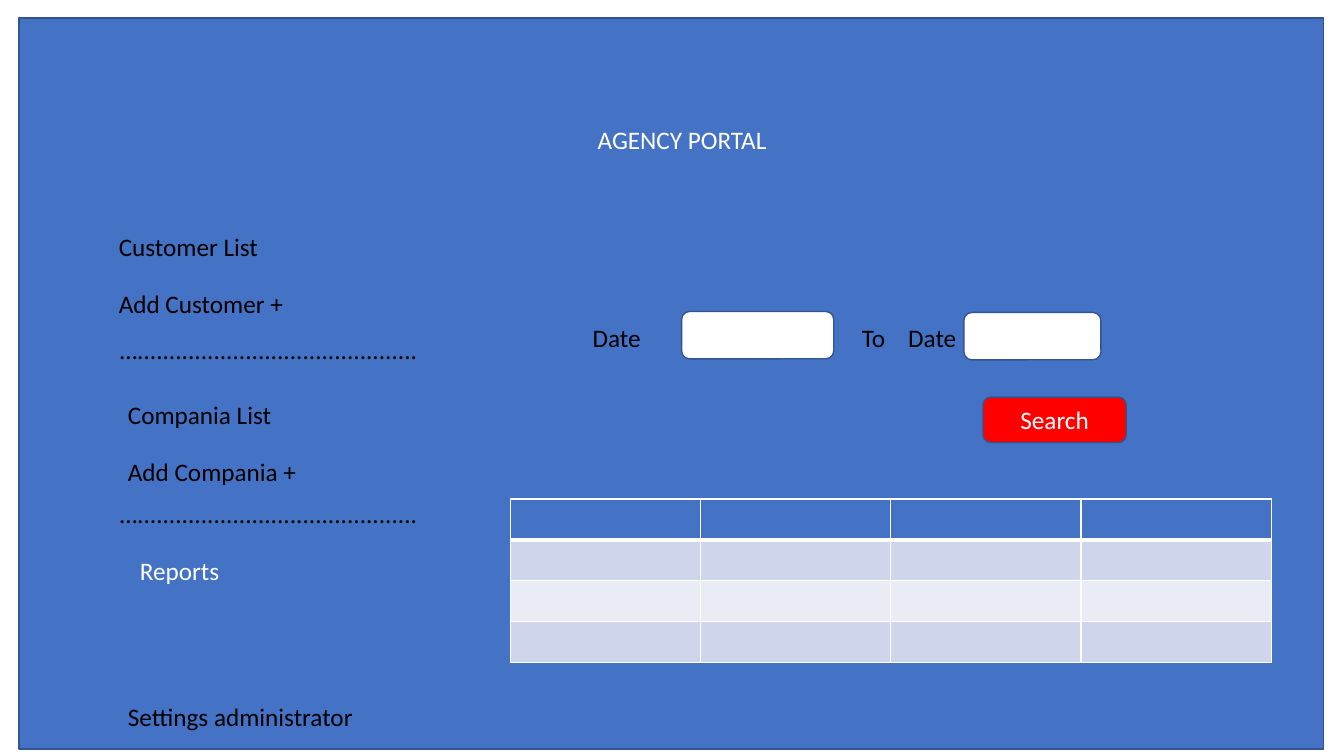
from lxml.etree import SubElement
from pptx import Presentation
from pptx.dml.color import RGBColor
from pptx.enum.shapes import MSO_SHAPE as SHAPE
from pptx.enum.text import MSO_ANCHOR as ANCHOR, PP_ALIGN as ALIGN
from pptx.oxml.ns import qn
from pptx.util import Pt

PX = 9144
W, H = 1333, 750
COLORS = {
    "blue": "4472C4",
    "outline": "325491",
    "white": "FFFFFF",
    "black": "000000",
    "red": "FF0000",
    "band": "CFD5EA",
    "pale": "E9EBF5",
}
DOTS = "…............................................"


def px(*lengths):
    return [n * PX for n in lengths]


def rgb(name):
    return RGBColor.from_string(COLORS[name])


def write(tf, text, color="black", align=ALIGN.LEFT, tab=None):
    p = tf.paragraphs[0]
    p.alignment = align
    if tab:
        tabs = SubElement(p._p.get_or_add_pPr(), qn("a:tabLst"))
        SubElement(tabs, qn("a:tab"), pos=str(tab * PX), algn="l")
    r = p.add_run()
    r.text = text
    r.font.name = "Calibri"
    r.font.size = Pt(18)
    r.font.color.rgb = rgb(color)


def add_label(s, x, y, w, text, **fmt):
    tf = s.shapes.add_textbox(*px(x, y, w, 40)).text_frame
    tf.word_wrap = True
    write(tf, text, **fmt)


def add_box(s, kind, x, y, w, h, fill):
    sp = s.shapes.add_shape(kind, *px(x, y, w, h))
    sp.shadow.inherit = False
    sp.fill.solid()
    sp.fill.fore_color.rgb = rgb(fill)
    sp.line.color.rgb = rgb("outline")
    sp.line.width = Pt(1)
    return sp


def add_panel(s, x, y, w, h):
    add_box(s, SHAPE.RECTANGLE, x, y, w, h, "blue")
    add_label(s, x + 488, y + 100, 339, "AGENCY PORTAL", color="white", align=ALIGN.CENTER)


def add_menu(s, x, y):
    items = [
        (0, 0, 300, "Customer List", "black"),
        (0, 56, 300, "Add Customer +", "black"),
        (1, 102, 486, DOTS, "black"),
        (9, 166, 300, "Compania List", "black"),
        (9, 223, 300, "Add Compania +", "black"),
        (1, 264, 486, DOTS, "black"),
        (21, 321, 300, "Reports", "white"),
        (9, 466, 300, "Settings administrator", "black"),
    ]
    for dx, dy, w, text, color in items:
        add_label(s, x + dx, y + dy, w, text, color=color)


def add_search(s, x, y):
    add_label(s, x, y + 6, 110, "Date")
    add_box(s, SHAPE.ROUNDED_RECTANGLE, x + 98, y, 151, 47, "white")
    add_label(s, x + 267, y + 6, 116, "To\tDate", tab=46)
    add_box(s, SHAPE.ROUNDED_RECTANGLE, x + 378, y + 1, 136, 47, "white")
    button = add_box(s, SHAPE.ROUNDED_RECTANGLE, x + 397, y + 85, 142, 45, "red")
    button.text_frame.vertical_anchor = ANCHOR.MIDDLE
    write(button.text_frame, "Search", color="white", align=ALIGN.CENTER)


def set_cell(cell, fill, widths):
    tc_pr = cell._tc.get_or_add_tcPr()
    for side, width in widths.items():
        ln = SubElement(tc_pr, qn(f"a:ln{side}"), w=str(Pt(width)))
        solid = SubElement(ln, qn("a:solidFill"))
        SubElement(solid, qn("a:srgbClr"), val=COLORS["white"])
    cell.fill.solid()
    cell.fill.fore_color.rgb = rgb(fill)


def add_results(s, x, y, w, h):
    fills = ["blue", "band", "pale", "band"]
    table = s.shapes.add_table(len(fills), 4, *px(x, y, w, h)).table
    for i, fill in enumerate(fills):
        top = 3 if i == 1 else 1
        bottom = 3 if i == 0 else 1
        for cell in table.rows[i].cells:
            set_cell(cell, fill, {"L": 1, "R": 1, "T": top, "B": bottom})


def main():
    prs = Presentation()
    prs.slide_width, prs.slide_height = px(W, H)
    s = prs.slides.add_slide(prs.slide_layouts[6])
    add_panel(s, 19, 18, 1294, 725)
    add_menu(s, 108, 225)
    add_search(s, 578, 309)
    add_results(s, 506, 495, 755, 162)
    prs.save("out.pptx")


if __name__ == "__main__":
    main()
